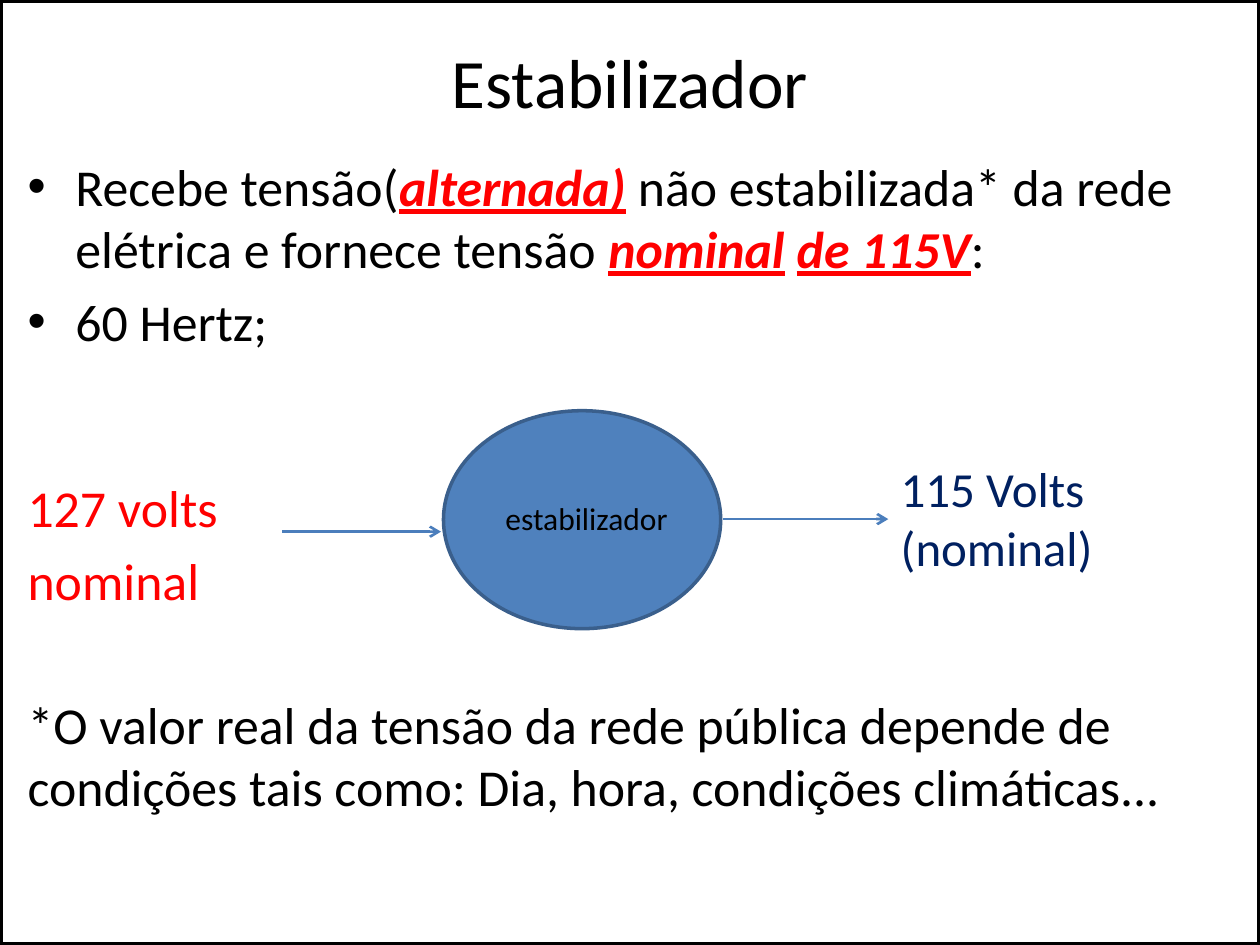
import pptx
import pptx.dml.color
import pptx.enum.shapes
import pptx.enum.text
import pptx.oxml
import pptx.oxml.ns
import pptx.util

Inches = pptx.util.Inches
Pt = pptx.util.Pt
Align = pptx.enum.text.PP_ALIGN
Anchor = pptx.enum.text.MSO_ANCHOR
Shape = pptx.enum.shapes.MSO_SHAPE

COLORS = {
    "black": "000000",
    "red": "FF0000",
    "navy": "002060",
    "blue": "4F81BD",
    "outline": "3A5F8C",
    "arrow": "4B7EBC",
}
PLAIN = {"color": "black"}
RED = {"color": "red"}
STRONG = {"color": "red", "bold": True, "italic": True}
UNDERLINED = {**STRONG, "underline": True}

BODY = [
    {"bullet": True, "before": 0, "spans": [
        ("Recebe tensão(", PLAIN),
        ("alternada)", UNDERLINED),
        (" não estabilizada* da rede elétrica e fornece tensão ", PLAIN),
        ("nominal", UNDERLINED),
        (" ", STRONG),
        ("de 115V", UNDERLINED),
        (":", PLAIN),
    ]},
    {"bullet": True, "before": 6, "spans": [("60 Hertz;", PLAIN)]},
    {"before": 71, "spans": [("127 volts", RED)]},
    {"before": 6, "spans": [("nominal", RED)]},
    {"before": 46.5, "spans": [
        ("*O valor real da tensão da rede pública depende de condições "
         "tais como: Dia, hora, condições climáticas...", PLAIN),
    ]},
]


def rgb(name):
    """Return the named colour."""
    return pptx.dml.color.RGBColor.from_string(COLORS[name])


def add_element(parent, tag, **values):
    """Append a drawing element with the given attributes."""
    element = pptx.oxml.parse_xml(f"<a:{tag} {pptx.oxml.ns.nsdecls('a')}/>")
    for key, value in values.items():
        element.set(key, value)
    parent.append(element)


def add_span(para, text, size, style):
    """Add one formatted run to a paragraph."""
    span = para.add_run()
    span.text = text
    formats = {"name": "Calibri", "size": Pt(size), **style}
    color = formats.pop("color")
    for key, value in formats.items():
        setattr(span.font, key, value)
    span.font.color.rgb = rgb(color)


def add_label(page, box, text, size, color, align):
    """Add a text box holding one short label."""
    frame = page.shapes.add_textbox(*map(Inches, box)).text_frame
    frame.word_wrap = True
    para = frame.paragraphs[0]
    para.alignment = align
    add_span(para, text, size, {"color": color})


def add_outlined_shape(page, kind, box, fill, line, width):
    """Add a preset shape with an outline and an optional fill."""
    shape = page.shapes.add_shape(kind, *map(Inches, box))
    shape.shadow.inherit = False
    if fill:
        shape.fill.solid()
        shape.fill.fore_color.rgb = rgb(fill)
    else:
        shape.fill.background()
    shape.line.color.rgb = rgb(line)
    shape.line.width = Pt(width)


def add_arrow(page, start, end):
    """Add a straight arrow between two points."""
    arrow = page.shapes.add_connector(
        pptx.enum.shapes.MSO_CONNECTOR.STRAIGHT, *map(Inches, start + end))
    arrow.line.color.rgb = rgb("arrow")
    arrow.line.width = Pt(1.5)
    add_element(arrow.line._get_or_add_ln(), "tailEnd", type="arrow")
    add_element(arrow._element.spPr, "effectLst")


def build_title(page, box):
    """Place and format the title placeholder."""
    title = page.shapes.title
    title.left, title.top, title.width, title.height = map(Inches, box)
    frame = title.text_frame
    frame.vertical_anchor = Anchor.MIDDLE
    para = frame.paragraphs[0]
    para.alignment = Align.CENTER
    add_span(para, "Estabilizador", 39.6, PLAIN)


def build_body(page, box):
    """Write the bullets, the input voltage and the footnote."""
    frame = page.shapes.add_textbox(*map(Inches, box)).text_frame
    frame.word_wrap = True
    for index, entry in enumerate(BODY):
        para = frame.add_paragraph() if index else frame.paragraphs[0]
        para.space_before = Pt(entry["before"])
        if entry.get("bullet"):
            properties = para._p.get_or_add_pPr()
            properties.set("marL", str(Inches(0.38)))
            properties.set("indent", str(-Inches(0.38)))
            add_element(properties, "buFont", typeface="Arial")
            add_element(properties, "buChar", char="•")
        for text, style in entry["spans"]:
            add_span(para, text, 29.6, style)


def build_diagram(page, box):
    """Draw the stabilizer with its input and output arrows."""
    left, top, width, height = box
    output_y = top + 0.86
    ellipse = (left + 1.28, top, 2.2, height)
    add_outlined_shape(page, Shape.OVAL, ellipse, "blue", "outline", 2)
    add_label(page, (left + 1.58, top + 0.65, 1.67, 0.4),
              "estabilizador", 18, "black", Align.CENTER)
    add_arrow(page, (left, top + 0.96), (left + 1.26, top + 0.96))
    add_arrow(page, (left + 3.5, output_y), (left + 4.81, output_y))
    add_label(page, (left + 4.81, top + 0.33, width - 4.81, 1.04),
              "115 Volts (nominal)", 28, "navy", Align.LEFT)


def main():
    """Build the slide and save the deck."""
    deck = pptx.Presentation()
    deck.slide_width, deck.slide_height = Inches(10), Inches(7.5)
    page = deck.slides.add_slide(deck.slide_layouts.get_by_name("Title Only"))
    add_outlined_shape(page, Shape.RECTANGLE, (0, 0, 10, 7.5), None, "black", 3)
    build_title(page, (0.5, 0.3, 9, 0.69))
    build_body(page, (0.12, 1.18, 9.69, 5.83))
    build_diagram(page, (2.24, 3.26, 6.88, 1.73))
    deck.save("out.pptx")


if __name__ == "__main__":
    main()
